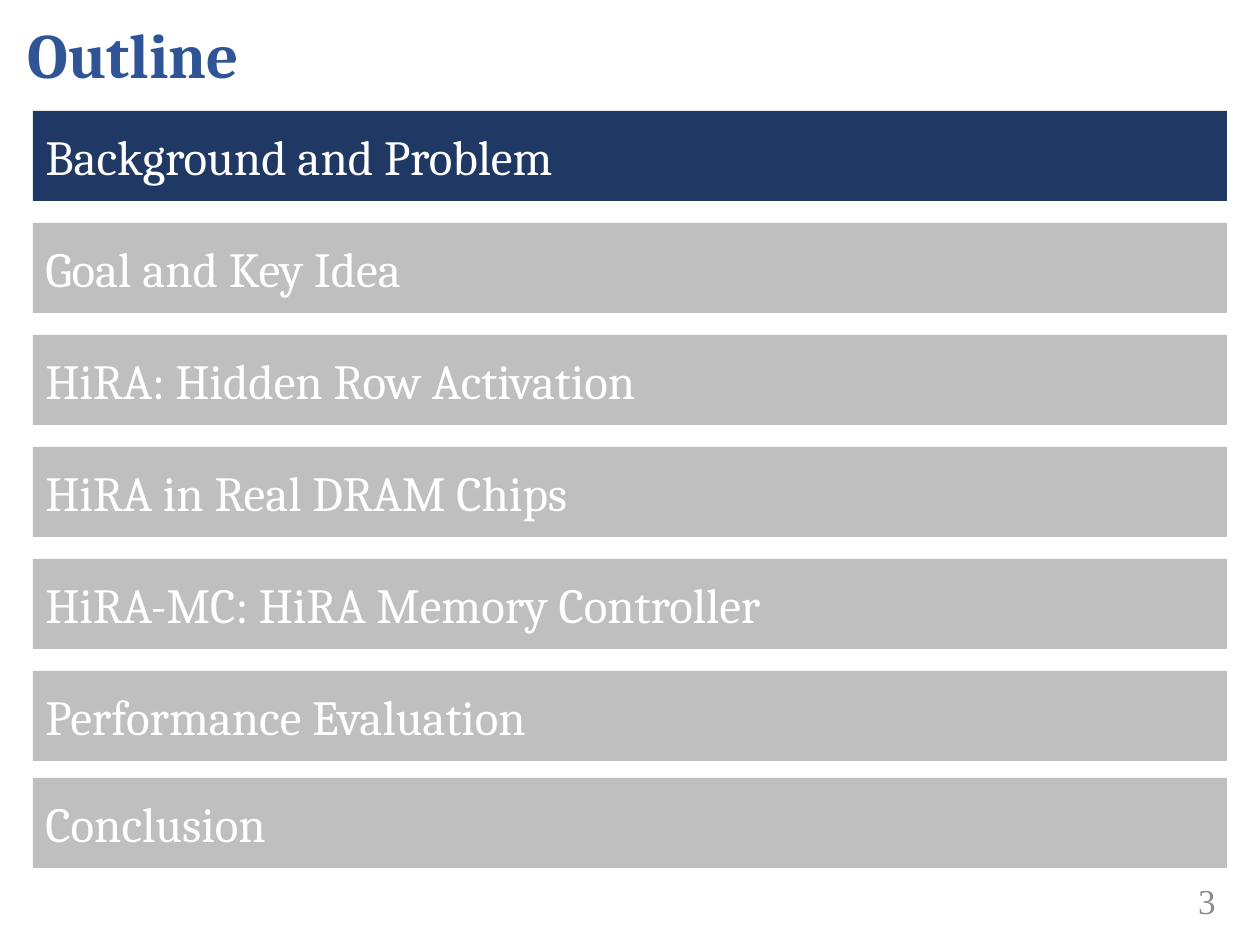
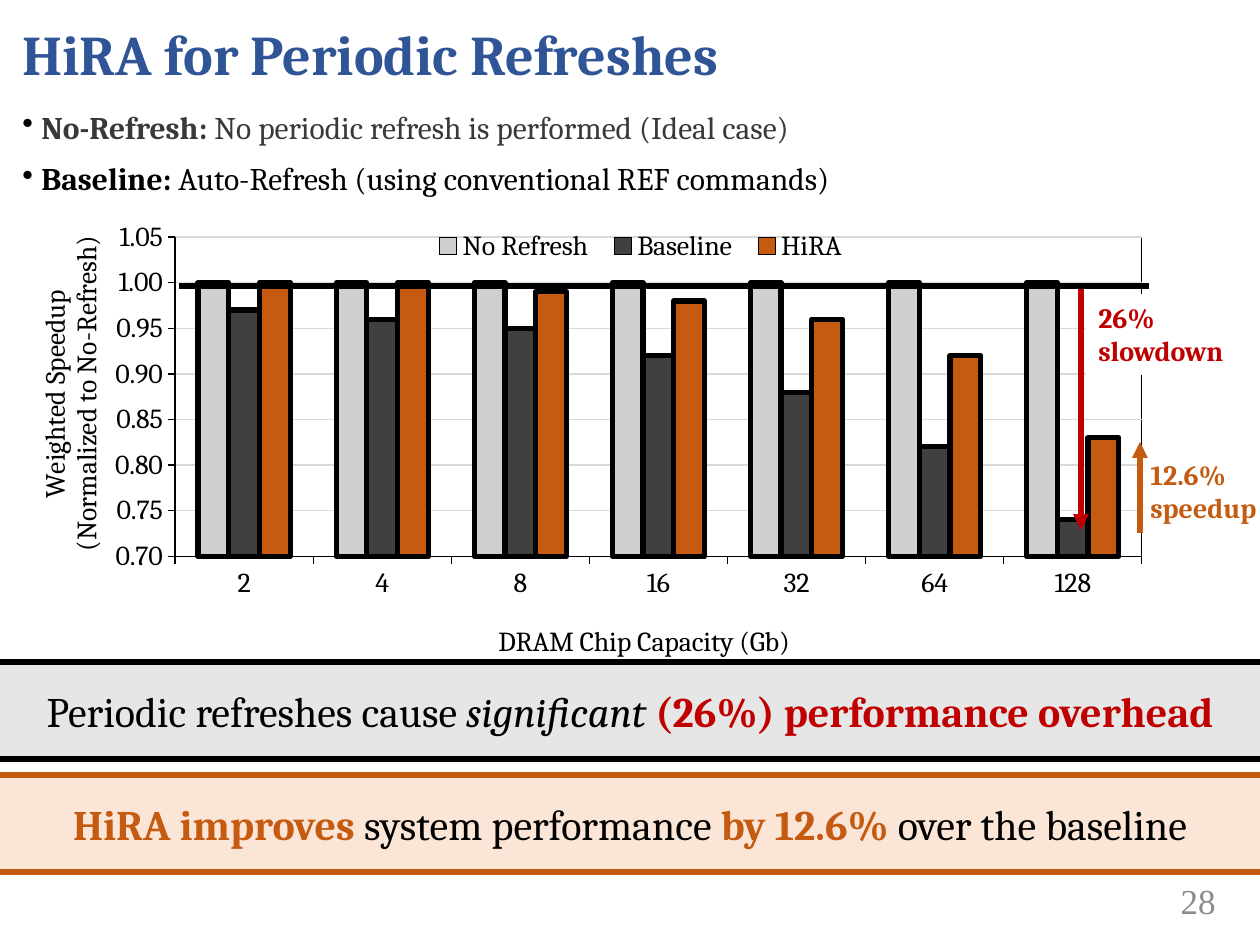
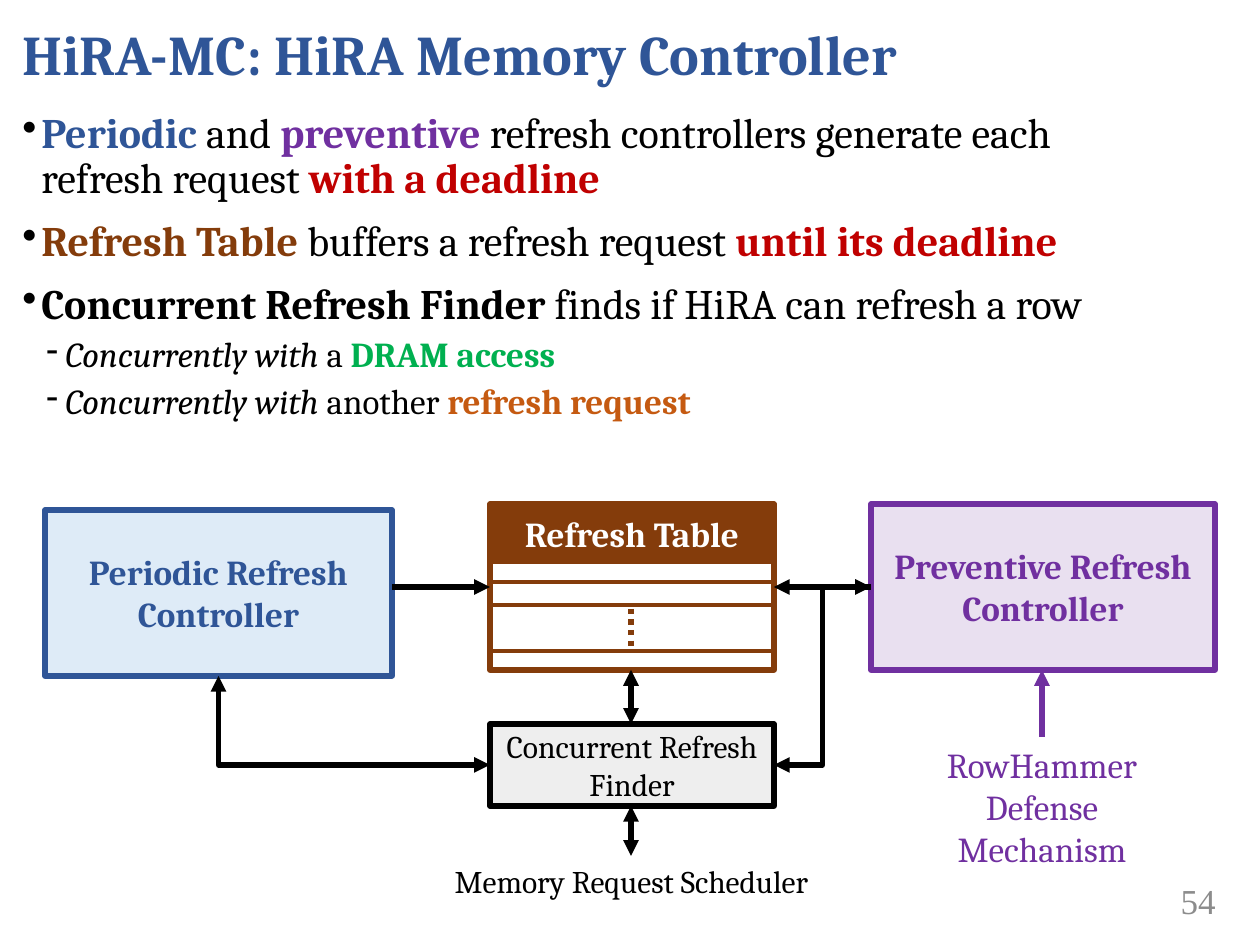
"""Build three slides on hidden row activation for DRAM refresh."""
import lxml.etree
import pptx
import pptx.chart.data
import pptx.dml.color
import pptx.enum.chart
import pptx.enum.dml
import pptx.enum.shapes
import pptx.enum.text
import pptx.oxml.ns
import pptx.util

COLORS = {
    "black": "000000", "white": "FFFFFF", "blue": "2F5597", "navy": "203864",
    "pale blue": "DEEBF7", "gray": "BFBFBF", "page gray": "8C8C8C", "light gray": "E7E6E6",
    "finder gray": "EEEEEE", "grid gray": "D9D9D9", "silver": "D0CECE", "charcoal": "404040",
    "ideal gray": "3B3838", "red": "C00000", "orange": "C55A11", "pale orange": "FBE5D6",
    "purple": "7030A0", "brown": "843C0B", "green": "00B050",
}
ALIGN = pptx.enum.text.PP_ALIGN
ANCHOR = pptx.enum.text.MSO_ANCHOR
CONNECTOR = pptx.enum.shapes.MSO_CONNECTOR


def px(length):
    return pptx.util.Emu(round(length * 914400 / 126))


def rgb(name):
    return pptx.dml.color.RGBColor.from_string(COLORS[name])


def add_element(parent, tag, **attributes):
    return lxml.etree.SubElement(parent, pptx.oxml.ns.qn(tag), attributes)


class Deck:
    """Holds the shared style and the current slide, and draws each kind of element."""

    font = "Cambria"

    def __init__(self):
        self.presentation = pptx.Presentation()
        self.presentation.slide_width = px(1260)
        self.presentation.slide_height = px(945)
        self.slide = None

    def new_slide(self, title, number, size=32, left=10):
        self.slide = self.presentation.slides.add_slide(self.presentation.slide_layouts[6])
        self.text(left, 0, 1239, 106, [[(title, "blue", "b")]], size, anchor=ANCHOR.MIDDLE)
        self.text(1092, 876, 136, 50, [[(number, "page gray")]], 20, ALIGN.RIGHT,
                  ANCHOR.MIDDLE, "Times New Roman")

    def style_font(self, font, size, color, style="", name=None):
        font.name = name or self.font
        font.size = pptx.util.Pt(size)
        font.bold = "b" in style
        font.italic = "i" in style
        font.color.rgb = rgb(color)

    def add_runs(self, paragraph, runs, size, name=None):
        for text, color, *style in runs:
            for index, line in enumerate(text.split("\n")):
                if index:
                    paragraph.add_line_break()
                run = paragraph.add_run()
                run.text = line
                self.style_font(run.font, size, color, "".join(style), name)

    def fill_text(self, shape, paragraphs, size, align=ALIGN.LEFT, anchor=ANCHOR.TOP, name=None):
        frame = shape.text_frame
        frame.word_wrap = True
        frame.vertical_anchor = anchor
        for index, runs in enumerate(paragraphs):
            paragraph = frame.add_paragraph() if index else frame.paragraphs[0]
            paragraph.alignment = align
            self.add_runs(paragraph, runs, size, name)

    def text(self, left, top, width, height, paragraphs, size, align=ALIGN.LEFT,
             anchor=ANCHOR.TOP, name=None):
        shape = self.slide.shapes.add_textbox(px(left), px(top), px(width), px(height))
        self.fill_text(shape, paragraphs, size, align, anchor, name)

    def bullets(self, height, items):
        shape = self.slide.shapes.add_textbox(px(10), px(106), px(1239), px(height))
        frame = shape.text_frame
        frame.word_wrap = True
        for index, (level, size, runs) in enumerate(items):
            paragraph = frame.add_paragraph() if index else frame.paragraphs[0]
            paragraph.line_spacing = 0.9
            if index:
                paragraph.space_before = pptx.util.Pt(5 if level else 10)
            properties = paragraph._p.get_or_add_pPr()
            properties.set("marL", str(px(43 if level else 19)))
            properties.set("indent", str(px(-19)))
            color = add_element(properties, "a:buClr")
            add_element(color, "a:srgbClr", val=COLORS["black"])
            add_element(properties, "a:buChar", char="-" if level else "•")
            self.add_runs(paragraph, runs, size)

    def box(self, left, top, width, height, fill=None, line=None, paragraphs=(), size=20,
            align=ALIGN.CENTER, anchor=ANCHOR.MIDDLE, opacity=None):
        shape = self.slide.shapes.add_shape(pptx.enum.shapes.MSO_SHAPE.RECTANGLE,
                                            px(left), px(top), px(width), px(height))
        shape.shadow.inherit = False
        if fill:
            shape.fill.solid()
            shape.fill.fore_color.rgb = rgb(fill)
        else:
            shape.fill.background()
        if opacity:
            color = shape.element.xpath("./p:spPr/a:solidFill/a:srgbClr")[0]
            add_element(color, "a:alpha", val=str(opacity * 1000))
        if line:
            shape.line.color.rgb = rgb(line)
            shape.line.width = pptx.util.Pt(3)
        else:
            shape.line.fill.background()
        self.fill_text(shape, paragraphs, size, align, anchor)
        return shape

    def line(self, start, end, color="black", width=3, head=False, tail=False,
             kind=CONNECTOR.STRAIGHT, dotted=False):
        connector = self.slide.shapes.add_connector(kind, *map(px, start + end))
        connector.line.color.rgb = rgb(color)
        connector.line.width = pptx.util.Pt(width)
        if dotted:
            connector.line.dash_style = pptx.enum.dml.MSO_LINE.ROUND_DOT
        outline = connector.element.xpath("./p:spPr/a:ln")[0]
        for shown, tag in ((head, "a:headEnd"), (tail, "a:tailEnd")):
            if shown:
                add_element(outline, tag, type="triangle")
        add_element(connector.element.spPr, "a:effectLst")
        return connector

    def elbow(self, start, end, begin, finish, preset="bentConnector3"):
        connector = self.line(start, end, head=True, tail=True, kind=CONNECTOR.ELBOW)
        connector.begin_connect(*begin)
        connector.end_connect(*finish)
        connector.element.xpath(".//a:prstGeom")[0].set("prst", preset)

    def takeaway(self, top, fill, line, runs):
        self.box(0, top, 1260, 97, fill, None, [runs], 24)
        for y in (top, top + 97):
            self.line((0, y), (1260, y), line)

    def place(self, element, x, y, width=None, height=None):
        for existing in element.xpath("./c:layout"):
            element.remove(existing)
        layout = lxml.etree.Element(pptx.oxml.ns.qn("c:layout"))
        manual = add_element(layout, "c:manualLayout")
        if element.tag == pptx.oxml.ns.qn("c:plotArea"):
            add_element(manual, "c:layoutTarget", val="inner")
            element.insert(0, layout)
        else:
            element.xpath("./c:overlay")[0].addprevious(layout)
        for tag in ("c:xMode", "c:yMode"):
            add_element(manual, tag, val="edge")
        for tag, value in (("c:x", x), ("c:y", y), ("c:w", width), ("c:h", height)):
            if value is not None:
                add_element(manual, tag, val=str(value))

    def axis(self, axis, title, x, y):
        axis.has_title = True
        self.add_runs(axis.axis_title.text_frame.paragraphs[0], [(title, "black")], 16)
        self.place(axis.axis_title.element, x, y)
        axis.major_tick_mark = pptx.enum.chart.XL_TICK_MARK.OUTSIDE
        axis.minor_tick_mark = pptx.enum.chart.XL_TICK_MARK.NONE
        self.style_font(axis.tick_labels.font, 16, "black")
        axis.format.line.color.rgb = rgb("black")
        axis.format.line.width = pptx.util.Pt(0.75)

    def column_chart(self, left, top, width, height, categories, series, category_title,
                     value_title):
        data = pptx.chart.data.CategoryChartData(number_format="0.00")
        data.categories = categories
        for name, _, values in series:
            data.add_series(name, values)
        chart = self.slide.shapes.add_chart(
            pptx.enum.chart.XL_CHART_TYPE.COLUMN_CLUSTERED,
            px(left), px(top), px(width), px(height), data).chart
        chart.has_title = False
        self.style_font(chart.font, 16, "black")
        self.axis(chart.category_axis, category_title, 0.41, 0.91)
        values_axis = chart.value_axis
        self.axis(values_axis, value_title, 0.02, 0.05)
        rotation = values_axis.axis_title.element.xpath(".//a:bodyPr")[0]
        rotation.set("rot", "-5400000")
        rotation.set("vert", "horz")
        values_axis.minimum_scale, values_axis.maximum_scale = 0.7, 1.05
        values_axis.major_unit = 0.05
        values_axis.tick_labels.number_format = "#,##0.00"
        values_axis.tick_labels.number_format_is_linked = False
        values_axis.major_gridlines.format.line.color.rgb = rgb("grid gray")
        values_axis.major_gridlines.format.line.width = pptx.util.Pt(0.75)
        plot = chart.plots[0]
        plot.gap_width, plot.overlap = 150, 0
        plot.vary_by_categories = False
        for item, (_, color, _) in zip(plot.series, series):
            item.format.fill.solid()
            item.format.fill.fore_color.rgb = rgb(color)
            item.format.line.color.rgb = rgb("black")
            item.format.line.width = pptx.util.Pt(3)
        chart.has_legend = True
        chart.legend.position = pptx.enum.chart.XL_LEGEND_POSITION.BOTTOM
        chart.legend.include_in_layout = False
        self.style_font(chart.legend.font, 16, "black")
        chart_space = chart.element if hasattr(chart, "element") else chart._chartSpace
        self.place(chart_space.xpath(".//c:legend")[0], 0.35, 0.03, 0.37, 0.08)
        area = chart_space.xpath(".//c:plotArea")[0]
        self.place(area, 0.14, 0.05, 0.82, 0.72)
        border = add_element(add_element(area, "c:spPr"), "a:ln", w="9525")
        add_element(add_element(border, "a:solidFill"), "a:srgbClr", val=COLORS["black"])


def build_outline(deck):
    deck.new_slide("Outline", "3", 36, 15)
    sections = ["Background and Problem", "Goal and Key Idea", "HiRA: Hidden Row Activation",
                "HiRA in Real DRAM Chips", "HiRA-MC: HiRA Memory Controller",
                "Performance Evaluation", "Conclusion"]
    for index, section in enumerate(sections):
        deck.box(33, min(111 + 112 * index, 778), 1194, 90, "gray" if index else "navy", None,
                 [[(section, "white")]], 28, ALIGN.LEFT)


def build_periodic_refreshes(deck):
    deck.new_slide("HiRA for Periodic Refreshes", "28")
    deck.bullets(770, [
        (0, 18, [("No-Refresh:", "ideal gray", "b"),
                 (" No periodic refresh is performed (Ideal case)", "ideal gray")]),
        (0, 18, [("Baseline:", "black", "b"),
                 (" Auto-Refresh (using conventional REF commands)", "black")]),
    ])
    deck.column_chart(
        10, 215, 1179, 451, [str(2 ** power) for power in range(1, 8)],
        [("No Refresh", "silver", [1] * 7),
         ("Baseline", "charcoal", [0.97, 0.96, 0.95, 0.92, 0.88, 0.82, 0.74]),
         ("HiRA", "orange", [1, 1, 0.99, 0.98, 0.96, 0.92, 0.83])],
        "DRAM Chip Capacity (Gb)", "Weighted Speedup\n(Normalized to No-Refresh)")
    deck.line((1081, 530), (1081, 285), "red", head=True)
    deck.box(1086, 294, 175, 81, "white", None,
             [[("26%", "red", "b")], [("slowdown", "red", "b")]], 16, ALIGN.LEFT, ANCHOR.TOP)
    deck.line((1140, 533), (1140, 442), "orange", tail=True)
    deck.text(1138, 451, 136, 81, [[("12.6%\nspeedup", "orange", "b")]], 16)
    deck.takeaway(662, "light gray", "black", [
        ("Periodic refreshes cause ", "black"), ("significant ", "black", "i"),
        ("(26%) performance overhead", "red", "b")])
    deck.takeaway(775, "pale orange", "orange", [
        ("HiRA improves ", "orange", "b"), ("system performance ", "black"),
        ("by 12.6% ", "orange", "b"), ("over the baseline", "black")])
    deck.line((179, 286), (1149, 286))


def build_memory_controller(deck):
    deck.new_slide("HiRA-MC: HiRA Memory Controller", "54")
    deck.bullets(423, [
        (0, 24, [("Periodic", "blue", "b"), (" and ", "black"), ("preventive", "purple", "b"),
                 (" refresh controllers generate each\nrefresh request ", "black"),
                 ("with a deadline", "red", "b")]),
        (0, 24, [("Refresh Table ", "brown", "b"), ("buffers a refresh request ", "black"),
                 ("until its deadline", "red", "b")]),
        (0, 24, [("Concurrent Refresh Finder ", "black", "b"),
                 ("finds if HiRA can refresh a row", "black")]),
        (1, 20, [("Concurrently with ", "black", "i"), ("a", "black"),
                 (" DRAM access", "green", "b")]),
        (1, 20, [("Concurrently with ", "black", "i"), ("another", "black"),
                 (" refresh request", "orange", "b")]),
    ])
    periodic = deck.box(45, 510, 347, 166, "pale blue", "blue",
                        [[("Periodic Refresh\nController", "blue", "b")]])
    preventive = deck.box(871, 504, 344, 166, "purple", "purple",
                          [[("Preventive Refresh\nController", "purple", "b")]], opacity=15)
    deck.text(892, 737, 300, 140, [[("RowHammer", "purple")], [("Defense Mechanism", "purple")]],
              20, ALIGN.CENTER)
    deck.line((1042, 737), (1042, 670), "purple", tail=True)
    finder = deck.box(490, 724, 284, 82, "finder gray", "black",
                      [[("Concurrent Refresh Finder", "black")]], 18)
    deck.box(490, 504, 284, 166, None, "brown")
    deck.line((631, 609), (631, 649), "brown", dotted=True)
    deck.box(490, 505, 284, 56, "brown", "brown", [[("Refresh Table", "white", "b")]])
    for y in (582, 605, 651):
        deck.line((490, y), (774, y), "brown", 2.25)
    deck.line((871, 587), (774, 587), tail=True)
    deck.line((392, 587), (490, 587), tail=True)
    deck.elbow((871, 587), (774, 765), (preventive, 1), (finder, 3))
    deck.line((631, 670), (631, 724), head=True, tail=True)
    deck.text(391, 856, 481, 50, [[("Memory Request Scheduler", "black")]], 18,
              ALIGN.CENTER, ANCHOR.MIDDLE)
    deck.line((631, 806), (631, 856), head=True, tail=True)
    deck.elbow((490, 765), (219, 676), (finder, 1), (periodic, 2), "bentConnector2")


def main():
    deck = Deck()
    build_outline(deck)
    build_periodic_refreshes(deck)
    build_memory_controller(deck)
    deck.presentation.save("out.pptx")


if __name__ == "__main__":
    main()
